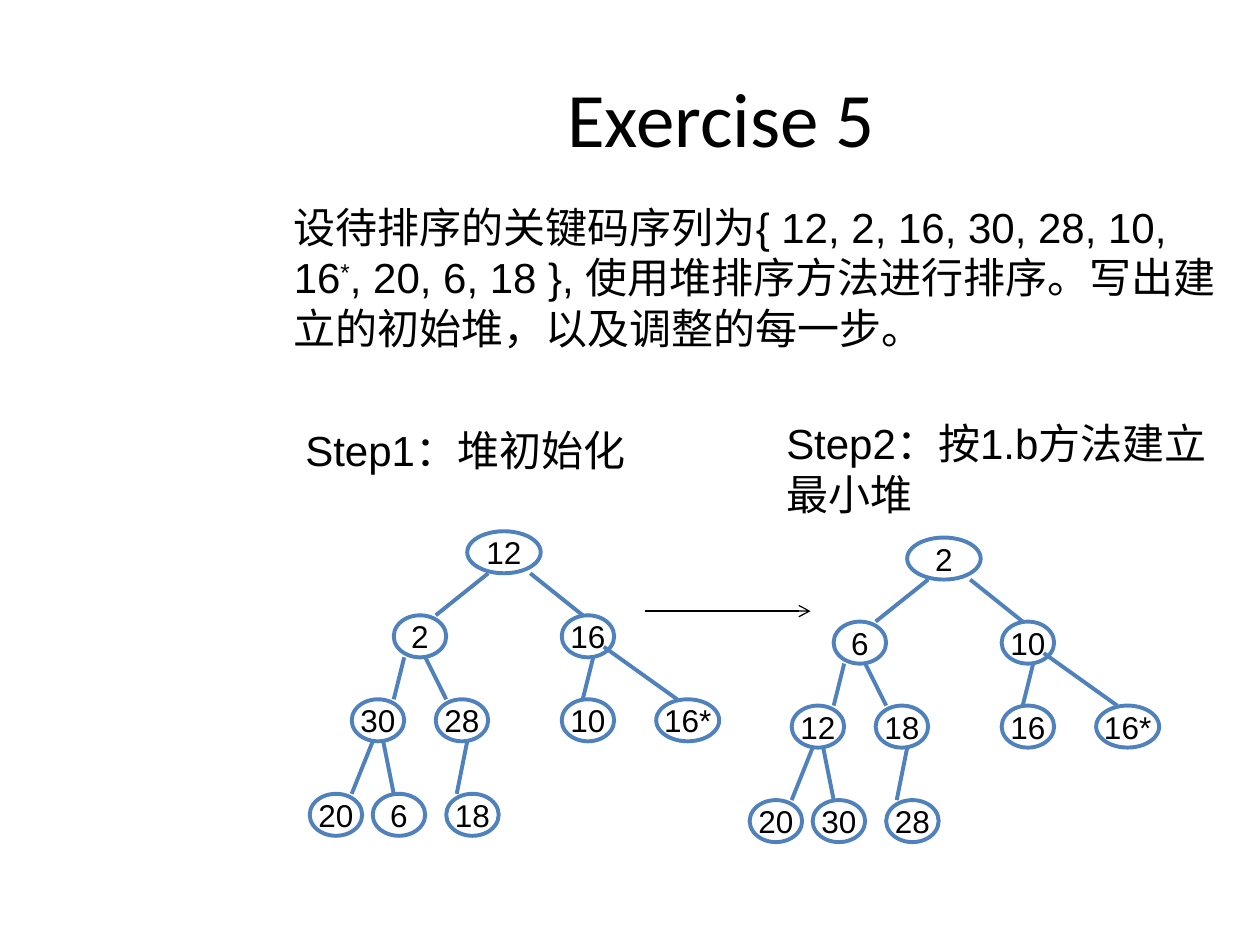
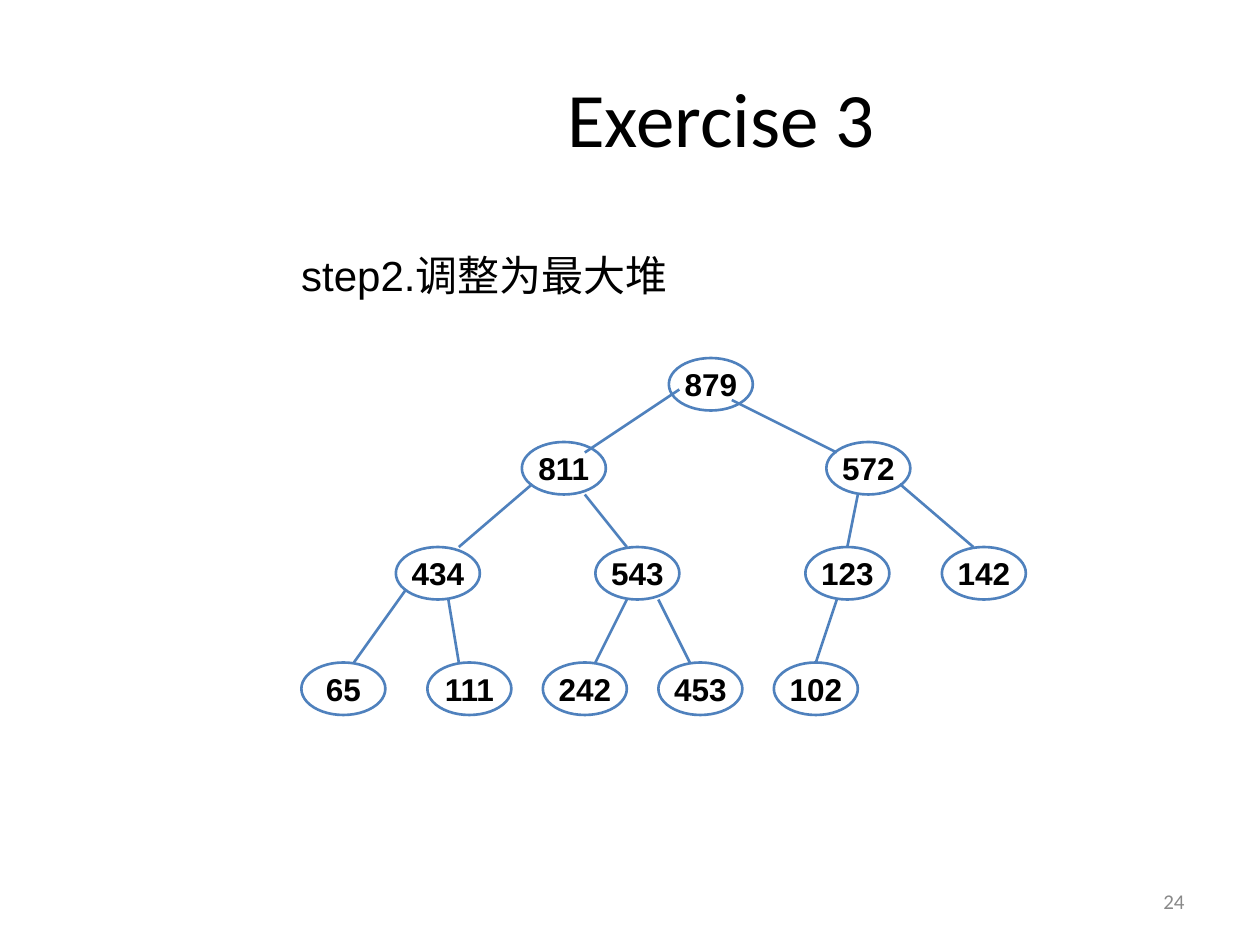
from lxml import etree
from pptx import Presentation
from pptx.dml.color import RGBColor
from pptx.enum.shapes import MSO_CONNECTOR, MSO_SHAPE
from pptx.enum.text import MSO_ANCHOR, PP_ALIGN
from pptx.oxml.ns import qn
from pptx.util import Emu, Pt

LEFT, CENTER, RIGHT = PP_ALIGN.LEFT, PP_ALIGN.CENTER, PP_ALIGN.RIGHT
TOP, MIDDLE = MSO_ANCHOR.TOP, MSO_ANCHOR.MIDDLE
ELLIPSE, STRAIGHT = MSO_SHAPE.OVAL, MSO_CONNECTOR.STRAIGHT
COLORS = {"ink": "000000", "paper": "FFFFFF", "tree": "4F81BD", "number": "898989"}
EMU_PER_PX = 7620
WIDTH, HEIGHT = 1200, 900
TITLE_ONLY = 5

MIN_HEAP_SPOTS = [
    (0, 0, 70), (-70, 80, 50), (90, 80, 50),
    (-110, 160, 50), (-30, 160, 50), (90, 160, 50), (180, 160, 60),
    (-150, 250, 50), (-90, 250, 50), (-20, 250, 50),
]
MIN_HEAP_EDGES = [
    (20, 40, -30, 80), (60, 40, 110, 80),
    (-60, 120, -70, 160), (-40, 120, -20, 160),
    (120, 120, 110, 160), (130, 110, 200, 160),
    (-90, 200, -110, 250), (-80, 200, -70, 250), (0, 200, -10, 250),
]
MAX_HEAP_SPOTS = [
    (0, 0, 80), (-140, 80, 80), (150, 80, 80),
    (-260, 180, 80), (-70, 180, 80), (130, 180, 80), (260, 180, 80),
    (-350, 290, 80), (-230, 290, 80), (-120, 290, 80), (-10, 290, 80), (100, 290, 80),
]
MAX_HEAP_EDGES = [
    (10, 30, -80, 90), (60, 40, 160, 90),
    (-130, 120, -200, 180), (-80, 130, -40, 180),
    (180, 130, 170, 180), (220, 120, 290, 180),
    (-250, 220, -300, 290), (-210, 230, -200, 290),
    (-40, 230, -70, 290), (-10, 230, 20, 290), (160, 230, 140, 290),
]


def px(*lengths):
    """Turn px lengths into EMU."""
    return [Emu(n * EMU_PER_PX) for n in lengths]


def rgb(name):
    """Look up a named colour."""
    return RGBColor.from_string(COLORS[name])


def write(tf, text, size=24, font="Arial", color="ink", bold=False, align=LEFT,
          anchor=TOP, wrap=True, gap=0, indent=0, tab=None):
    """Fill a frame; lines are paragraphs, ^ marks wrap raised text."""
    tf.word_wrap, tf.vertical_anchor = wrap, anchor
    for i, line in enumerate(text.split("\n")):
        p = tf.paragraphs[0] if i == 0 else tf.add_paragraph()
        p.alignment = align
        pPr = p._p.get_or_add_pPr()
        if i:
            p.space_before = Pt(gap)
            pPr.set("marL", str(indent * EMU_PER_PX))
        if tab:
            tabs = etree.SubElement(pPr, qn("a:tabLst"))
            etree.SubElement(tabs, qn("a:tab"), pos=str(tab * EMU_PER_PX), algn="l")
        for j, part in enumerate(line.split("^")):
            r = p.add_run()
            r.text = part
            r.font.size, r.font.name, r.font.bold = Pt(size), font, bold
            r.font.color.rgb = rgb(color)
            if j % 2:
                r._r.get_or_add_rPr().set("baseline", "30000")


class Deck:
    """Shared style and the slide being drawn."""

    def __init__(self):
        """Start an empty deck."""
        self.prs = Presentation()
        self.prs.slide_width, self.prs.slide_height = px(WIDTH, HEIGHT)
        self.s = None

    def slide(self, title):
        """Add a slide with its title."""
        self.s = self.prs.slides.add_slide(self.prs.slide_layouts[TITLE_ONLY])
        sp = self.s.shapes.title
        sp.left, sp.top, sp.width, sp.height = px(234, 36, 906, 150)
        write(sp.text_frame, title, size=44, font="Calibri", align=CENTER, anchor=MIDDLE)

    def text(self, text, x, y, w, h, **style):
        """Add a text box."""
        sp = self.s.shapes.add_textbox(*px(x, y, w, h))
        write(sp.text_frame, text, **style)

    def line(self, x1, y1, x2, y2, color="tree", weight=2.25, arrow=False):
        """Add a straight line, with an arrowhead if asked."""
        c = self.s.shapes.add_connector(STRAIGHT, *px(x1, y1, x2, y2))
        c.line.color.rgb, c.line.width = rgb(color), Pt(weight)
        if arrow:
            etree.SubElement(c.line._get_or_add_ln(), qn("a:tailEnd"), type="arrow")
        etree.SubElement(c._element.spPr, qn("a:effectLst"))

    def node(self, key, x, y, w, h, weight, bold):
        """Add an oval tree node."""
        sp = self.s.shapes.add_shape(ELLIPSE, *px(x, y, w, h))
        sp.shadow.inherit = False
        sp.fill.solid()
        sp.fill.fore_color.rgb = rgb("paper")
        sp.line.color.rgb, sp.line.width = rgb("tree"), Pt(weight)
        write(sp.text_frame, key, size=18, bold=bold, align=CENTER, anchor=MIDDLE, wrap=False)

    def tree(self, keys, x, y, spots, edges, h=40, weight=2.25, bold=False):
        """Draw a heap in level order, measured from the root's corner."""
        for key, (dx, dy, w) in zip(keys.split(), spots, strict=True):
            self.node(key, x + dx, y + dy, w, h, weight, bold)
        for x1, y1, x2, y2 in edges:
            self.line(x + x1, y + y1, x + x2, y + y2, weight=weight)


def main():
    """Build both slides and save."""
    deck = Deck()
    deck.slide("Exercise 5")
    deck.text("设待排序的关键码序列为{ 12, 2, 16, 30, 28, 10, 16^*^, 20, 6, 18 }, "
              "使用堆排序方法进行排序。写出建立的初始堆，以及调整的每一步。\nStep1：堆初始化",
              268, 186, 907, 212, gap=41, indent=11)
    deck.tree("2 6 10 12 18 16 16* 20 30 28", 864, 512, MIN_HEAP_SPOTS, MIN_HEAP_EDGES)
    deck.tree("12 2 16 30 28 10 16* 20 6 18", 445, 506, MIN_HEAP_SPOTS, MIN_HEAP_EDGES)
    deck.line(614, 582, 772, 582, color="ink", weight=0.75, arrow=True)
    deck.text("Step2：按1.b方法建立\t最小堆", 737, 392, 436, 108, tab=67)

    deck.slide("Exercise 3")
    deck.text("24", 860, 834, 280, 48, size=12, font="Calibri", color="number",
              align=RIGHT, anchor=MIDDLE)
    deck.text("step2.调整为最大堆", 275, 232, 383, 60, wrap=False)
    deck.tree("879 811 572 434 543 123 142 65 111 242 453 102", 637, 341,
              MAX_HEAP_SPOTS, MAX_HEAP_EDGES, h=50, weight=1.5, bold=True)
    deck.prs.save("out.pptx")


if __name__ == "__main__":
    main()
